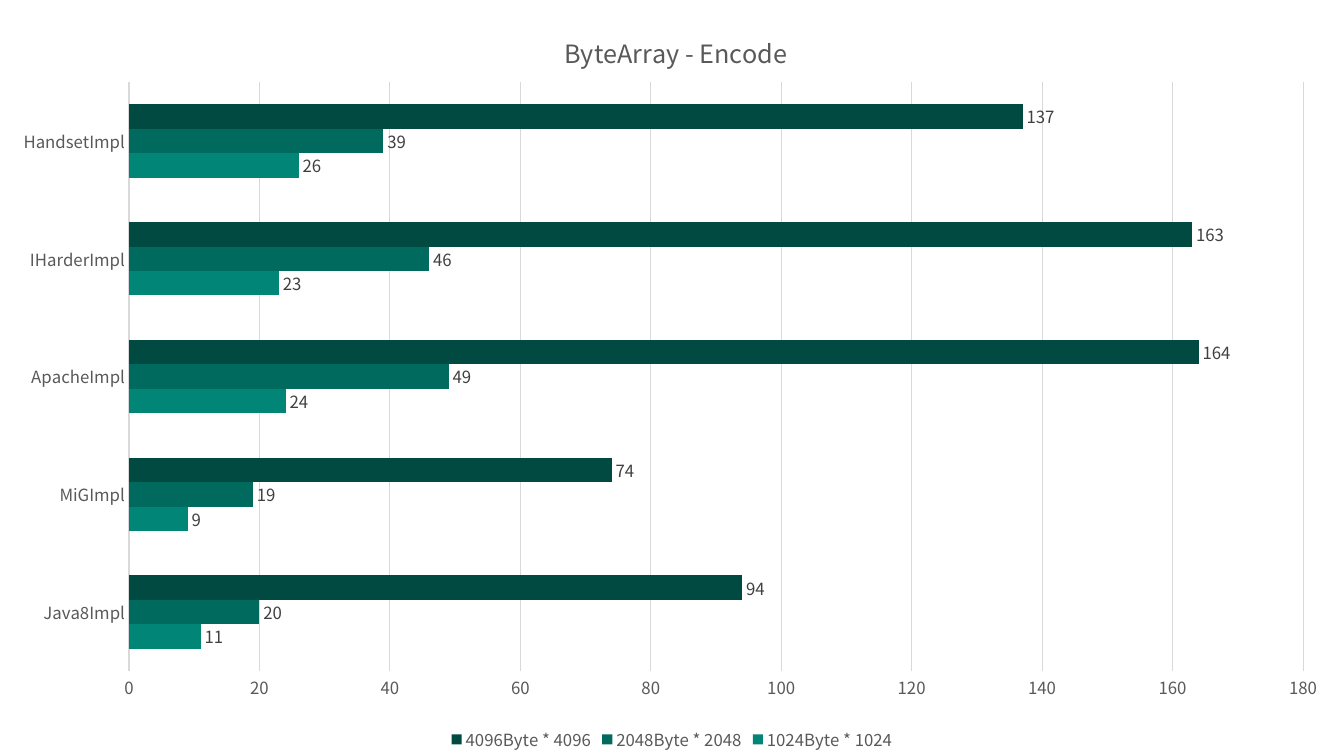
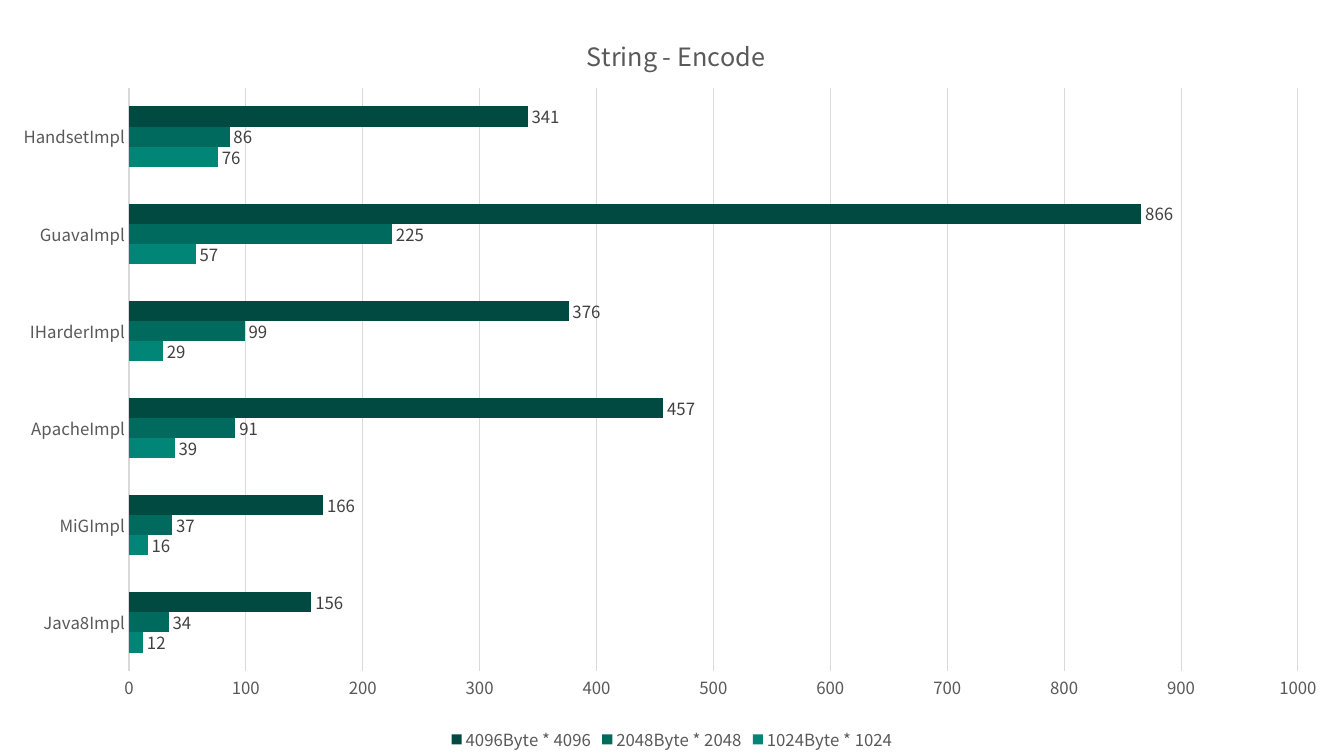
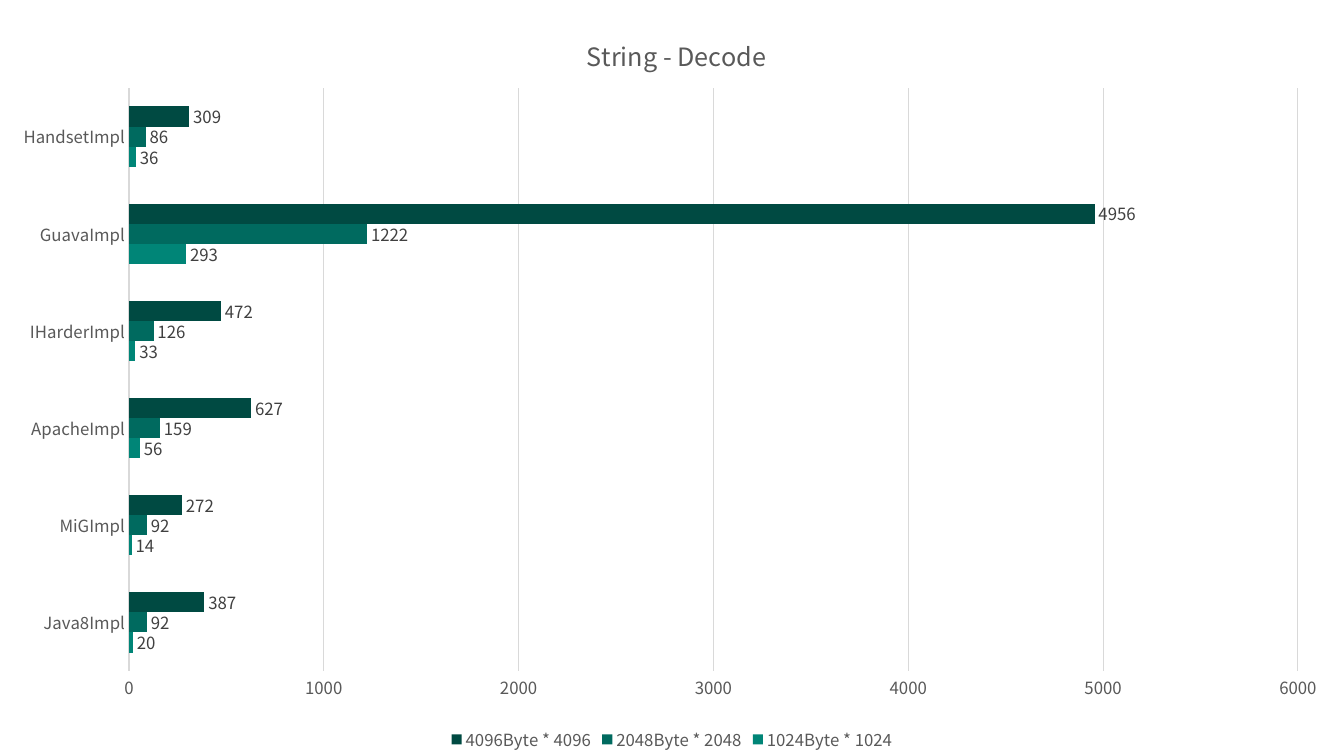
"""Build three bar chart slides that compare Base64 codec timings."""
from lxml.etree import SubElement
from pptx import Presentation
from pptx.chart.data import CategoryChartData
from pptx.dml.color import RGBColor
from pptx.enum.chart import XL_CHART_TYPE, XL_LABEL_POSITION, XL_LEGEND_POSITION, XL_TICK_MARK
from pptx.oxml.ns import qn
from pptx.util import Cm, Pt

FONT = "Noto Sans CJK KR"
GRAY = RGBColor(0x59, 0x59, 0x59)
DARK_GRAY = RGBColor(0x40, 0x40, 0x40)
GRID_GRAY = RGBColor(0xD9, 0xD9, 0xD9)
SERIES = [
    ("1024Byte * 1024", RGBColor(0x00, 0x85, 0x77)),
    ("2048Byte * 2048", RGBColor(0x00, 0x6A, 0x5F)),
    ("4096Byte * 4096", RGBColor(0x00, 0x4A, 0x42)),
]
WIDTH, HEIGHT = Cm(33.87), Cm(19.05)
PLOT_LEFT, PLOT_BOTTOM = Cm(3.25), Cm(16.91)

CHARTS = [
    {"title": "ByteArray - Encode", "top": Cm(2.07), "right": Cm(32.84), "axis": (180, 20),
     "title_at": (Cm(14.11), Cm(0.66)),
     "rows": {"Java8Impl": (11, 20, 94), "MiGImpl": (9, 19, 74), "ApacheImpl": (24, 49, 164),
              "IHarderImpl": (23, 46, 163), "HandsetImpl": (26, 39, 137)}},
    {"title": "String - Encode", "top": Cm(2.22), "right": Cm(32.71), "axis": (1000, 100),
     "title_at": (Cm(14.67), Cm(0.74)),
     "rows": {"Java8Impl": (12, 34, 156), "MiGImpl": (16, 37, 166), "ApacheImpl": (39, 91, 457),
              "IHarderImpl": (29, 99, 376), "GuavaImpl": (57, 225, 866),
              "HandsetImpl": (76, 86, 341)}},
    {"title": "String - Decode", "top": Cm(2.22), "right": Cm(32.71), "axis": (6000, 1000),
     "title_at": (Cm(14.67), Cm(0.74)),
     "rows": {"Java8Impl": (20, 92, 387), "MiGImpl": (14, 92, 272), "ApacheImpl": (56, 159, 627),
              "IHarderImpl": (33, 126, 472), "GuavaImpl": (293, 1222, 4956),
              "HandsetImpl": (36, 86, 309)}},
]


def set_all(target, values):
    """Set attributes from a dict of format values."""
    for name, value in values.items():
        setattr(target, name, value)


def style_font(font, size, color):
    """Apply the shared typeface with a size and colour."""
    set_all(font, {"name": FONT, "size": Pt(size), "bold": False})
    font.color.rgb = color


def style_line(line):
    """Draw a thin gray line."""
    line.color.rgb = GRID_GRAY
    line.width = Pt(0.75)


def place(element, position, after, inner=False):
    """Fix the place of a chart part as fractions of the chart area."""
    for old in element.findall(qn("c:layout")):
        element.remove(old)
    layout = SubElement(element, qn("c:layout"))
    manual = SubElement(layout, qn("c:manualLayout"))
    values = {"layoutTarget": "inner"} if inner else {}
    values |= {"xMode": "edge", "yMode": "edge"}
    for (name, length), whole in zip(position.items(), (WIDTH, HEIGHT, WIDTH, HEIGHT)):
        values[name] = f"{length / whole:.4f}"
    for name, value in values.items():
        SubElement(manual, qn(f"c:{name}")).set("val", value)
    if after is None:
        element.insert(0, layout)
    else:
        after.addnext(layout)


def add_title(chart, text, position):
    """Write the chart title and place it."""
    frame = chart.chart_title.text_frame
    span = frame.paragraphs[0].add_run()
    span.text = text
    style_font(span.font, 18, GRAY)
    chart.chart_title.include_in_layout = False
    title = chart._chartSpace.chart.find(qn("c:title"))
    place(title, dict(zip("xy", position)), title.find(qn("c:tx")))


def style_axes(chart, maximum, unit):
    """Format both axes and the value grid."""
    for axis in (chart.category_axis, chart.value_axis):
        set_all(axis, {"major_tick_mark": XL_TICK_MARK.NONE, "minor_tick_mark": XL_TICK_MARK.NONE})
        style_font(axis.tick_labels.font, 12, GRAY)
    style_line(chart.category_axis.format.line)
    values = chart.value_axis
    set_all(values, {"minimum_scale": 0, "maximum_scale": maximum, "major_unit": unit,
                     "has_major_gridlines": True})
    values.format.line.fill.background()
    style_line(values.major_gridlines.format.line)


def style_bars(plot):
    """Colour each series and label its values."""
    set_all(plot, {"gap_width": 182, "overlap": 0, "vary_by_categories": False})
    for series, (_, color) in zip(plot.series, SERIES):
        series.format.fill.solid()
        series.format.fill.fore_color.rgb = color
        labels = series.data_labels
        set_all(labels, {"show_value": True, "position": XL_LABEL_POSITION.OUTSIDE_END})
        style_font(labels.font, 12, DARK_GRAY)


def add_bar_page(deck, content):
    """Add a page filled by one clustered bar chart."""
    page = deck.slides.add_slide(deck.slide_layouts[6])
    data = CategoryChartData()
    data.categories = list(content["rows"])
    for (name, _), values in zip(SERIES, zip(*content["rows"].values())):
        data.add_series(name, values)
    chart = page.shapes.add_chart(XL_CHART_TYPE.BAR_CLUSTERED, 0, 0, WIDTH, HEIGHT, data).chart
    style_font(chart.font, 10, RGBColor(0, 0, 0))
    add_title(chart, content["title"], content["title_at"])
    style_axes(chart, *content["axis"])
    style_bars(chart.plots[0])
    chart.has_legend = True
    set_all(chart.legend, {"position": XL_LEGEND_POSITION.BOTTOM, "include_in_layout": False})
    style_font(chart.legend.font, 12, GRAY)
    area = {"x": PLOT_LEFT, "y": content["top"], "w": content["right"] - PLOT_LEFT,
            "h": PLOT_BOTTOM - content["top"]}
    place(chart._chartSpace.chart.plotArea, area, None, inner=True)


deck = Presentation()
set_all(deck, {"slide_width": WIDTH, "slide_height": HEIGHT})
for content in CHARTS:
    add_bar_page(deck, content)
deck.save("out.pptx")
